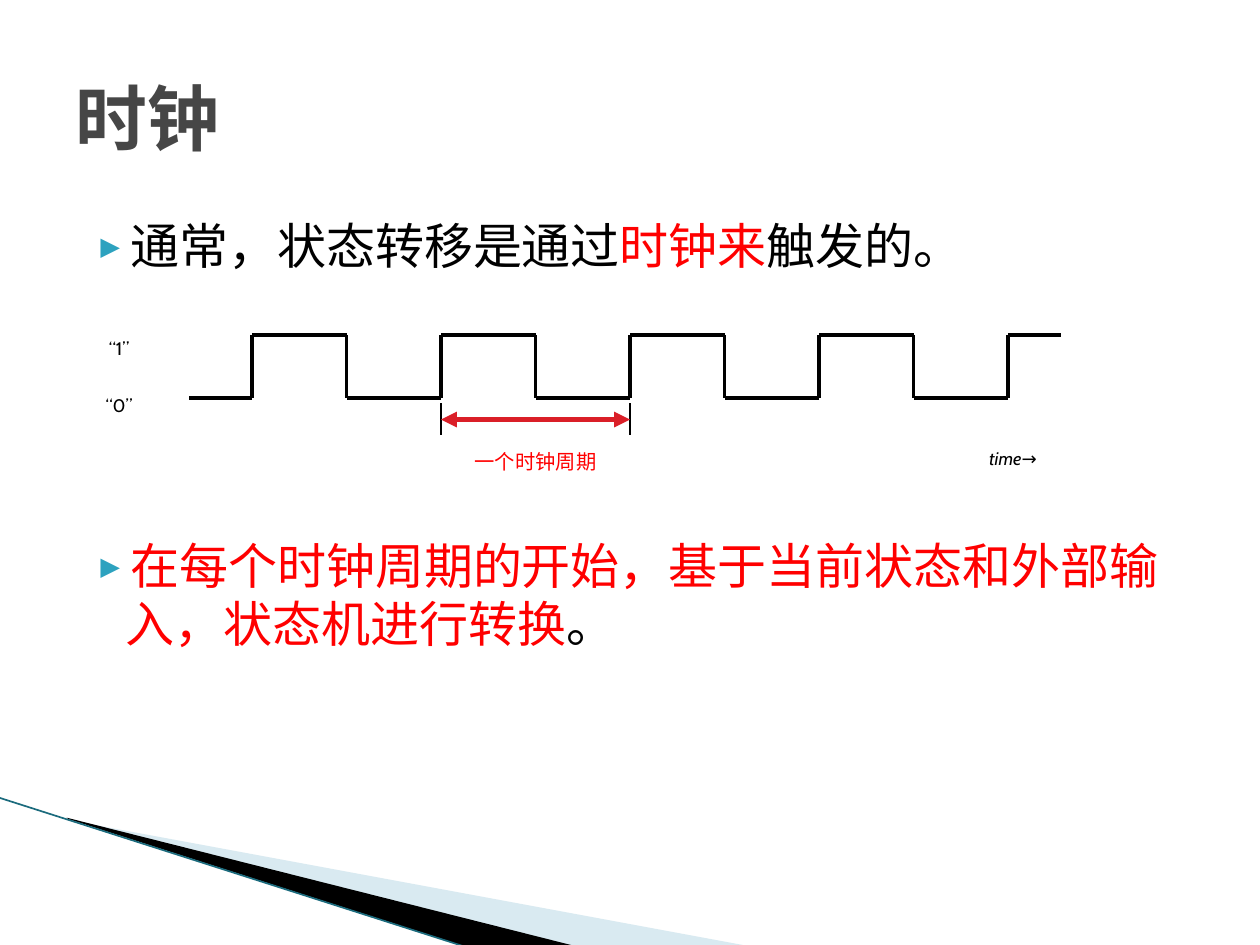
from lxml.etree import SubElement
from pptx import Presentation
from pptx.dml.color import RGBColor
from pptx.enum.shapes import MSO_CONNECTOR
from pptx.enum.text import MSO_ANCHOR, MSO_AUTO_SIZE, PP_ALIGN
from pptx.oxml.ns import qn
from pptx.util import Inches, Pt

BLACK, RED, TEAL, GREY = "000000", "FF0000", "2DA2BF", "464646"
HIGH, LOW, HALF_PERIOD = 2.66, 3.16, 0.75


def color(value):
    return RGBColor.from_string(value)


def add_element(parent, tag, **attributes):
    return SubElement(parent, qn(tag), attributes)


def apply(target, values):
    for name, value in values.items():
        setattr(target, name, value)


class ClockSlide:
    """Hold the style and the current slide, and draw each kind of element."""

    heading = {"name": "Noto Sans Mono", "size": Pt(41), "bold": True}
    body = {"name": "Noto Sans Mono", "size": Pt(28)}
    label = {"name": "Cabin", "size": Pt(18)}

    def __init__(self, presentation):
        self.slide = presentation.slides.add_slide(presentation.slide_layouts[6])

    def wedge(self, points, fill, alpha=100):
        corners = [(Inches(x), Inches(y)) for x, y in points]
        builder = self.slide.shapes.build_freeform(*corners[0])
        builder.add_line_segments(corners[1:], close=True)
        shape = builder.convert_to_shape()
        shape.shadow.inherit = False
        shape.fill.solid()
        shape.fill.fore_color.rgb = color(fill)
        shape.line.fill.background()
        if alpha < 100:
            fill_color = shape.fill._xPr.find(qn("a:solidFill"))[0]
            add_element(fill_color, "a:alpha", val=str(alpha * 1000))

    def line(self, start, end, width=2.25, stroke=BLACK, arrows=False):
        ends = [Inches(value) for value in (*start, *end)]
        connector = self.slide.shapes.add_connector(MSO_CONNECTOR.STRAIGHT, *ends)
        connector.line.width = Pt(width)
        connector.line.color.rgb = color(stroke)
        if arrows:
            for tag in ("a:headEnd", "a:tailEnd"):
                add_element(connector.line._ln, tag, type="triangle")
        add_element(connector._element.spPr, "a:effectLst")

    def text_frame(self, left, top, width, height, **settings):
        box = self.slide.shapes.add_textbox(*map(Inches, (left, top, width, height)))
        apply(box.text_frame, {"word_wrap": True, **settings})
        return box.text_frame

    def runs(self, paragraph, pieces, style):
        for text, fill in pieces:
            run = paragraph.add_run()
            run.text = text
            apply(run.font, style)
            run.font.color.rgb = color(fill)

    def title(self, text):
        frame = self.text_frame(0.5, 0.3, 9, 1.25, vertical_anchor=MSO_ANCHOR.MIDDLE)
        self.runs(frame.paragraphs[0], [(text, GREY)], self.heading)

    def bullets(self, items, gap):
        frame = self.text_frame(0.5, 1.62, 9, 4.95, margin_top=Inches(0.1))
        for index, pieces in enumerate(items):
            paragraph = frame.add_paragraph() if index else frame.paragraphs[0]
            apply(paragraph, {"line_spacing": Pt(33), "space_before": Pt(gap if index else 0)})
            properties = paragraph._p.get_or_add_pPr()
            properties.set("marL", str(Inches(0.4)))
            properties.set("indent", str(Inches(-0.28)))
            bullet_color = add_element(properties, "a:buClr")
            add_element(bullet_color, "a:srgbClr", val=TEAL)
            add_element(properties, "a:buSzPct", val="68000")
            add_element(properties, "a:buFont", typeface=self.body["name"])
            add_element(properties, "a:buChar", char="▶")
            self.runs(paragraph, pieces, self.body)

    def subscript_label(self, text, left, top, width, height=0.4, fill=BLACK, **style):
        frame = self.text_frame(left, top, width, height, word_wrap=False,
                                auto_size=MSO_AUTO_SIZE.SHAPE_TO_FIT_TEXT)
        paragraph = frame.paragraphs[0]
        paragraph.alignment = PP_ALIGN.CENTER
        self.runs(paragraph, [(text, fill)], {**self.label, **style})
        paragraph.runs[0]._r.get_or_add_rPr().set("baseline", "-25000")

    def clock_wave(self):
        edges = [2 + HALF_PERIOD * step for step in range(9)]
        limits = [1.5, *edges, 8.42]
        for index, (start, end) in enumerate(zip(limits, limits[1:])):
            level = HIGH if index % 2 else LOW
            self.line((start, level), (end, level))
        for edge in edges:
            self.line((edge, HIGH), (edge, LOW))

    def period_marker(self, start, end):
        for x in (start, end):
            self.line((x, 3.2), (x, 3.45), width=0.75)
        self.line((start, 3.33), (end, 3.33), width=3, stroke="DA1F28", arrows=True)
        self.subscript_label("一个时钟周期", 3.31, 3.33, 1.88, 0.44, RED, size=Pt(20))


def main():
    presentation = Presentation()
    apply(presentation, {"slide_width": Inches(10), "slide_height": Inches(7.5)})
    clock = ClockSlide(presentation)
    clock.wedge([(0.55, 6.51), (5.95, 7.51), (4.56, 7.51), (0.55, 6.5)], "A0CBDC", 40)
    clock.wedge([(0.53, 6.49), (4.57, 7.51), (3.72, 7.52), (0.54, 6.5)], BLACK)
    clock.line((-0.01, 6.33), (3.71, 7.52), width=0.95, stroke="1B6B7D")
    clock.title("时钟")
    clock.bullets([
        [("通常，状态转移是通过", BLACK), ("时钟来", RED), ("触发的。", BLACK)],
        [("在每个时钟周期的开始，基于当前状态和外部输入，状态机进行转换", RED), ("。", BLACK)],
    ], gap=150)
    clock.clock_wave()
    clock.subscript_label("“1”", 0.69, 2.46, 0.51)
    clock.subscript_label("“0”", 0.69, 2.91, 0.51)
    clock.subscript_label("time→", 7.58, 3.33, 0.92, italic=True)
    clock.period_marker(3.5, 5)
    presentation.save("out.pptx")


if __name__ == "__main__":
    main()
